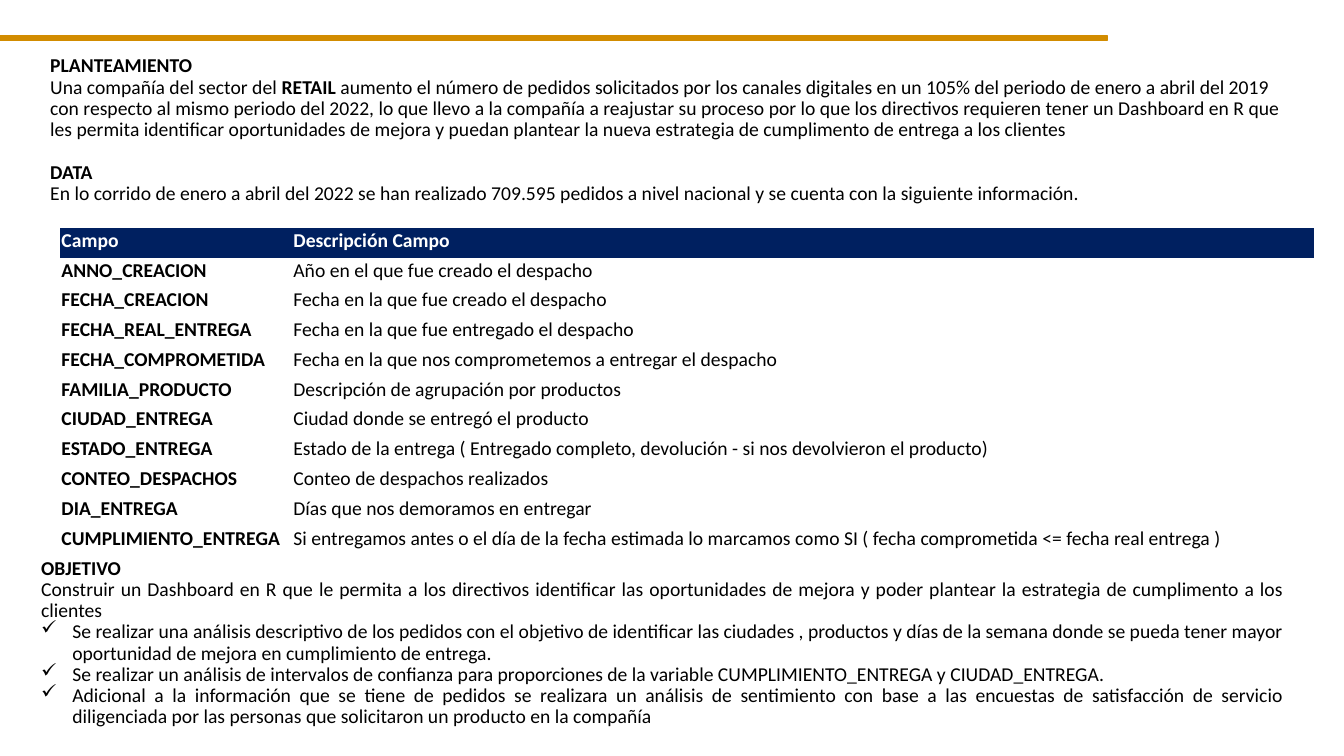
from pptx import Presentation
from pptx.dml.color import RGBColor
from pptx.enum.shapes import MSO_SHAPE
from pptx.enum.text import MSO_ANCHOR, PP_ALIGN
from pptx.oxml.ns import qn
from pptx.util import Inches, Pt
from lxml.etree import SubElement

BLACK = RGBColor(0x00, 0x00, 0x00)
WHITE = RGBColor(0xFF, 0xFF, 0xFF)
NAVY = RGBColor(0x00, 0x20, 0x60)
GOLD = RGBColor(0xD2, 0x8C, 0x00)
NO_GRID = "{2D5ABB26-0587-4C30-8999-92F81FD0307C}"


def put_text(para, text, font="Calibri", size=14, color=BLACK, bold=False,
             align=PP_ALIGN.LEFT, line=None, before=0, bullet=None):
    """Fill a paragraph; parts between ** marks switch bold."""
    para.alignment = align
    para.space_before = Pt(before)
    if line:
        para.line_spacing = line
    for i, part in enumerate(text.split("**")):
        if not part:
            continue
        run = para.add_run()
        run.text = part
        run.font.name = font
        run.font.size = Pt(size)
        run.font.bold = bold or i % 2 == 1
        run.font.color.rgb = color
    if bullet:
        props = para._p.get_or_add_pPr()
        props.set("marL", str(Inches(0.31)))
        props.set("indent", str(-Inches(0.31)))
        SubElement(props, qn("a:buChar")).set("char", bullet)


class Page:
    """Hold the current slide and draw its elements in one style."""

    def __init__(self, slide):
        """Keep the slide."""
        self.slide = slide

    def bar(self, x, y, w, h, color):
        """Draw a solid bar."""
        shape = self.slide.shapes.add_shape(
            MSO_SHAPE.RECTANGLE, Inches(x), Inches(y), Inches(w), Inches(h))
        shape.shadow.inherit = False
        shape.fill.solid()
        shape.fill.fore_color.rgb = color
        shape.line.color.rgb = color
        shape.line.width = Pt(1)

    def text(self, x, y, w, h, paras, **style):
        """Add a bottom-anchored box of (text, format) paragraphs."""
        box = self.slide.shapes.add_textbox(
            Inches(x), Inches(y), Inches(w), Inches(h))
        frame = box.text_frame
        frame.word_wrap = True
        frame.vertical_anchor = MSO_ANCHOR.BOTTOM
        for i, (text, form) in enumerate(paras):
            para = frame.add_paragraph() if i else frame.paragraphs[0]
            put_text(para, text, line=0.9, **style, **form)

    def table(self, x, y, widths, height, rows):
        """Add a table with a navy head and a bold first column."""
        table = self.slide.shapes.add_table(
            len(rows), len(widths), Inches(x), Inches(y),
            Inches(sum(widths)), Inches(height)).table
        table._tbl.tblPr.find(qn("a:tableStyleId")).text = NO_GRID
        table.horz_banding = False
        for col, width in zip(table.columns, widths):
            col.width = Inches(width)
        for r, row in enumerate(rows):
            for c, text in enumerate(row):
                self.cell(table.cell(r, c), text, r == 0, c == 0)

    def cell(self, cell, text, head, first):
        """Fill one table cell."""
        cell.fill.solid()
        cell.fill.fore_color.rgb = NAVY if head else WHITE
        cell.vertical_anchor = MSO_ANCHOR.BOTTOM
        cell.margin_left = cell.margin_right = cell.margin_top = Inches(0.01)
        cell.margin_bottom = Inches(0.05)
        put_text(cell.text_frame.paragraphs[0], text, bold=head or first,
                 color=WHITE if head else BLACK)


HEAD = {"bold": True}
CHECK = {"bullet": "✓"}
INTRO = [
    ("PLANTEAMIENTO", HEAD),
    ("Una compañía del sector del **RETAIL** aumento el número de pedidos "
     "solicitados por los canales digitales en un 105% del periodo de enero a "
     "abril del 2019 con respecto al mismo periodo del 2022, lo que llevo a la "
     "compañía a reajustar su proceso por lo que los directivos requieren tener "
     "un Dashboard en R que les permita identificar oportunidades de mejora y "
     "puedan plantear la nueva estrategia de cumplimento de entrega a los "
     "clientes", {}),
    ("DATA", {"bold": True, "before": 15.4}),
    ("En lo corrido de enero a abril del 2022 se han realizado 709.595 pedidos "
     "a nivel nacional y se cuenta con la siguiente información.", {}),
]
FIELDS = [
    ("Campo", "Descripción Campo"),
    ("ANNO_CREACION", "Año en el que fue creado el despacho"),
    ("FECHA_CREACION", "Fecha en la que fue creado el despacho"),
    ("FECHA_REAL_ENTREGA", "Fecha en la que fue entregado el despacho"),
    ("FECHA_COMPROMETIDA",
     "Fecha en la que nos comprometemos a entregar el despacho"),
    ("FAMILIA_PRODUCTO", "Descripción de agrupación por productos"),
    ("CIUDAD_ENTREGA", "Ciudad donde se entregó el producto"),
    ("ESTADO_ENTREGA", "Estado de la entrega ( Entregado completo, devolución "
     "- si nos devolvieron el producto)"),
    ("CONTEO_DESPACHOS", "Conteo de despachos realizados"),
    ("DIA_ENTREGA", "Días que nos demoramos en entregar"),
    ("CUMPLIMIENTO_ENTREGA", "Si entregamos antes o el día de la fecha estimada "
     "lo marcamos como SI ( fecha comprometida <= fecha real entrega )"),
]
GOALS = [
    ("OBJETIVO", HEAD),
    ("Construir un Dashboard en R que le permita a los directivos identificar "
     "las oportunidades de mejora y poder plantear la estrategia de cumplimento "
     "a los clientes", {}),
    ("Se realizar una análisis descriptivo de los pedidos con el objetivo de "
     "identificar las ciudades , productos y días de la semana donde se pueda "
     "tener mayor oportunidad de mejora en cumplimiento de entrega.", CHECK),
    ("Se realizar un análisis de intervalos de confianza para proporciones de "
     "la variable CUMPLIMIENTO_ENTREGA y CIUDAD_ENTREGA.", CHECK),
    ("Adicional a la información que se tiene de pedidos se realizara un "
     "análisis de sentimiento con base a las encuestas de satisfacción de "
     "servicio diligenciada por las personas que solicitaron un producto en la "
     "compañía", CHECK),
]

deck = Presentation()
deck.slide_width = Inches(13.33)
deck.slide_height = Inches(7.5)
page = Page(deck.slides.add_slide(deck.slide_layouts[6]))
page.text(0.4, 0.48, 12.53, 1.6, INTRO)
page.table(0.6, 2.26, (2.3, 10.13), 3.25, FIELDS)
page.text(0.31, 5.17, 12.53, 2.1, GOALS, align=PP_ALIGN.JUSTIFY)
page.bar(0, 0.35, 10.98, 0.05, GOLD)
deck.save("out.pptx")
